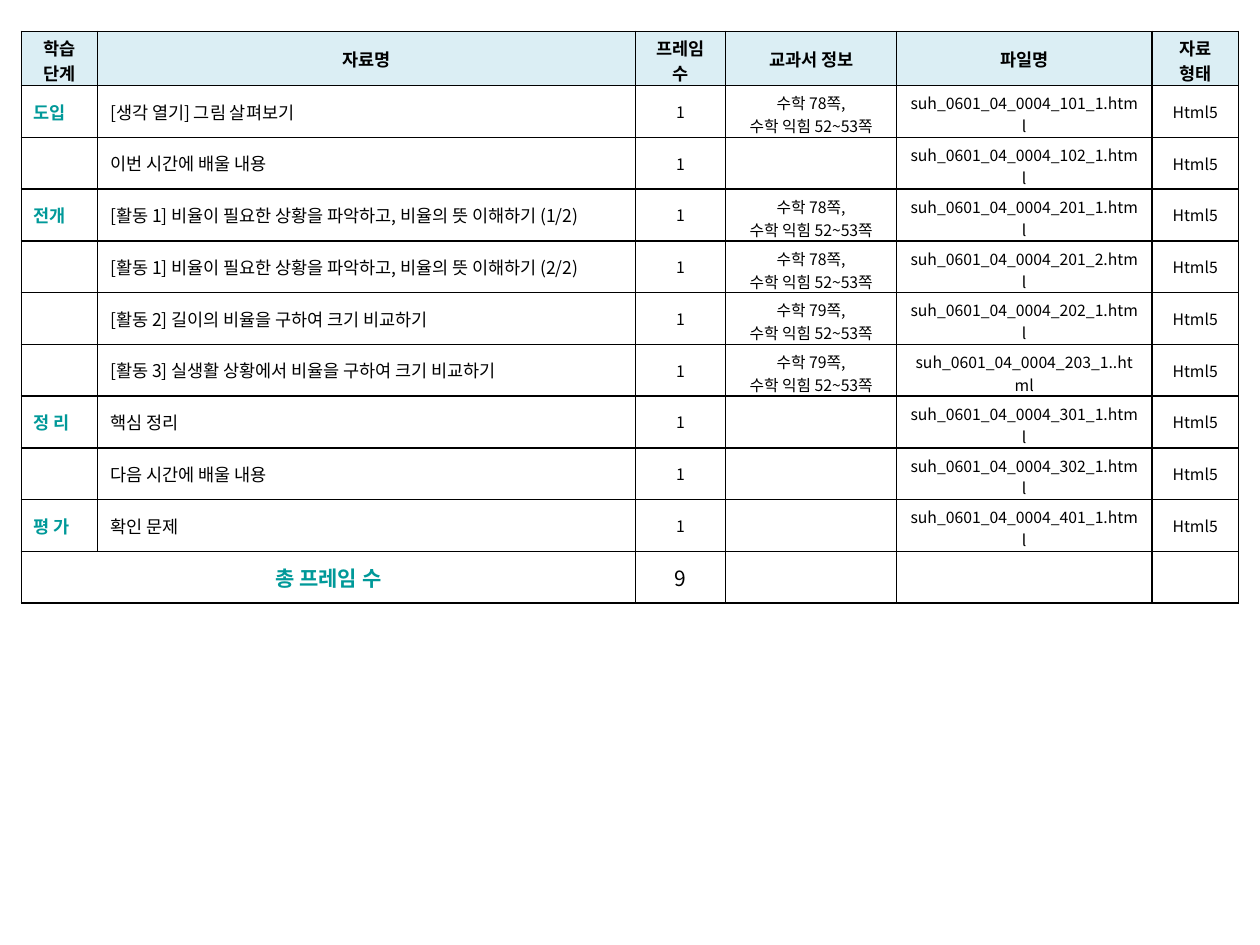
import lxml.etree
import pptx
import pptx.dml.color
import pptx.enum.text
import pptx.oxml.ns
import pptx.util

Cm = pptx.util.Cm
Pt = pptx.util.Pt
ALIGN = pptx.enum.text.PP_ALIGN
FONT = "Noto Sans CJK KR"
BLACK, TEAL, PALE_BLUE = "000000", "009999", "DBEEF4"
COLUMN_WIDTHS = [1.54, 10.85, 1.82, 3.45, 5.15, 1.75]
HEADERS = ["학습 단계", "자료명", "프레임 수", "교과서 정보", "파일명", "자료\n형태"]
TWO_LINE_HEADERS = (0, 2, 5)
FRAMES = [
    ("도입", "[생각 열기] 그림 살펴보기", 78, "101_1."),
    ("", "이번 시간에 배울 내용", None, "102_1."),
    ("전개", "[활동 1] 비율이 필요한 상황을 파악하고, 비율의 뜻 이해하기 (1/2)", 78, "201_1."),
    ("", "[활동 1] 비율이 필요한 상황을 파악하고, 비율의 뜻 이해하기 (2/2)", 78, "201_2."),
    ("", "[활동 2] 길이의 비율을 구하여 크기 비교하기", 79, "202_1."),
    ("", "[활동 3] 실생활 상황에서 비율을 구하여 크기 비교하기", 79, "203_1.."),
    ("정 리", "핵심 정리", None, "301_1."),
    ("", "다음 시간에 배울 내용", None, "302_1."),
    ("평 가", "확인 문제", None, "401_1."),
]


def rgb(value):
    """Return the colour for a hex string."""
    return pptx.dml.color.RGBColor.from_string(value)


def add_borders(cell, color=BLACK, width=1):
    """Draw a solid line on each side of a cell."""
    tc_pr = cell._tc.get_or_add_tcPr()
    qn = pptx.oxml.ns.qn
    for side in ("a:lnL", "a:lnR", "a:lnT", "a:lnB"):
        ln = lxml.etree.SubElement(tc_pr, qn(side), w=str(Pt(width)))
        fill = lxml.etree.SubElement(ln, qn("a:solidFill"))
        lxml.etree.SubElement(fill, qn("a:srgbClr"), val=color)


def fill_cell(cell, text, size=9, color=BLACK, bold=False, align=ALIGN.CENTER, fill=None):
    """Write text into a cell and style it."""
    add_borders(cell)
    if fill:
        cell.fill.solid()
        cell.fill.fore_color.rgb = rgb(fill)
    else:
        cell.fill.background()
    cell.vertical_anchor = pptx.enum.text.MSO_ANCHOR.MIDDLE
    cell.text_frame.text = text
    for p in cell.text_frame.paragraphs:
        p.alignment = align
        p.font.size = Pt(size)
        p.font.bold = bold
        p.font.name = FONT
        p.font.color.rgb = rgb(color)
        lxml.etree.SubElement(p.font._element, pptx.oxml.ns.qn("a:ea"), typeface=FONT)


def tighten(cell, top):
    """Fit two lines into a low row."""
    cell.margin_top, cell.margin_bottom = top, 0


def add_frame_table(s, left, top, width, header_height, row_height):
    """Add the lesson frame table in the given place."""
    rows = len(FRAMES) + 2
    height = header_height + row_height * (rows - 1)
    table = s.shapes.add_table(rows, len(HEADERS), left, top, width, height).table
    table.first_row = table.horz_banding = False
    for column, share in zip(table.columns, COLUMN_WIDTHS):
        column.width = int(width * share / sum(COLUMN_WIDTHS))
    for row in table.rows:
        row.height = row_height
    table.rows[0].height = header_height

    for col, header in enumerate(HEADERS):
        fill_cell(table.cell(0, col), header, 10, bold=True, fill=PALE_BLUE)
        if col in TWO_LINE_HEADERS:
            tighten(table.cell(0, col), Cm(0.08))
    for row, (stage, title, page, file_part) in enumerate(FRAMES, 1):
        fill_cell(table.cell(row, 0), stage, 10, TEAL, True, ALIGN.JUSTIFY)
        fill_cell(table.cell(row, 1), title, 10, align=ALIGN.LEFT)
        pages = f"수학 {page}쪽,\n수학 익힘 52~53쪽" if page else ""
        details = ["1", pages, f"suh_0601_04_0004_{file_part}html", "Html5"]
        for col, text in enumerate(details, 2):
            fill_cell(table.cell(row, col), text)
        for col in (3, 4):
            tighten(table.cell(row, col), Cm(0.12))

    total = rows - 1
    table.cell(total, 0).merge(table.cell(total, 1))
    fill_cell(table.cell(total, 0), "총 프레임 수", 12, TEAL, True)
    add_borders(table.cell(total, 1))
    for col, text in enumerate([str(len(FRAMES)), "", "", ""], 2):
        fill_cell(table.cell(total, col), text, 12)


def main():
    """Build the slide and save it."""
    prs = pptx.Presentation()
    prs.slide_width, prs.slide_height = Cm(25.4), Cm(19.05)
    s = prs.slides.add_slide(prs.slide_layouts[6])
    add_frame_table(s, Cm(0.43), Cm(0.63), Cm(24.54), Cm(1.09), Cm(1.04))
    prs.save("out.pptx")


if __name__ == "__main__":
    main()
